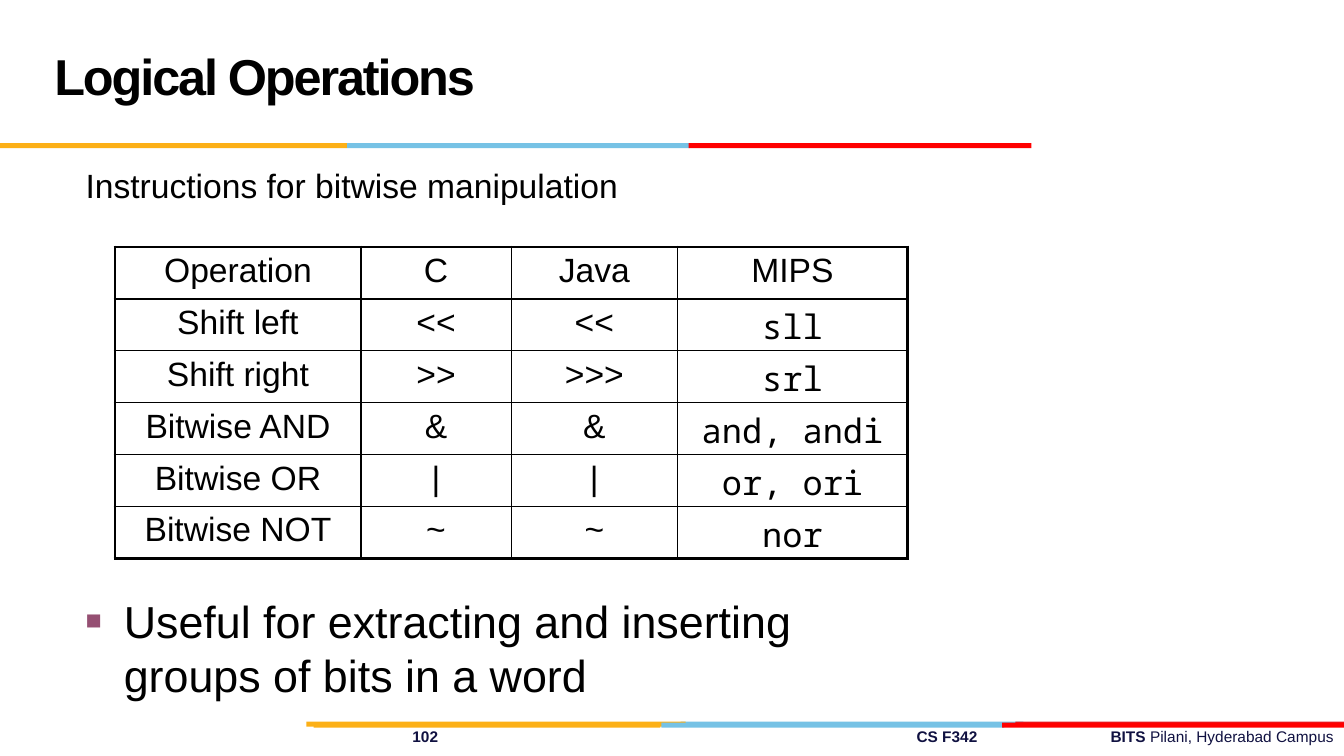
from pptx import Presentation
from pptx.dml.color import RGBColor
from pptx.enum.shapes import MSO_SHAPE as Shape
from pptx.enum.text import MSO_ANCHOR as Anchor, PP_ALIGN as Align
from pptx.oxml import parse_xml
from pptx.oxml.ns import nsdecls
from pptx.util import Inches, Pt


def color(value):
    return RGBColor.from_string(value)


def add_text(left, top, width, height, text, size, ink="000000"):
    box = page.shapes.add_textbox(Inches(left), Inches(top), Inches(width), Inches(height))
    box.text_frame.word_wrap = True
    para = box.text_frame.paragraphs[0]
    para.add_run().text = text
    para.font.name = "Arial"
    para.font.size = Pt(size)
    para.font.color.rgb = color(ink)
    return box.text_frame, para


deck = Presentation()
deck.slide_width, deck.slide_height = Inches(13.33), Inches(7.5)
page = deck.slides.add_slide(deck.slide_layouts[6])

# Footer: number, course and campus on tab stops
footer, para = add_text(0.22, 7.16, 13.11, 0.29, "102\tCS F342\tBITS ", 11, "101141")
footer.margin_left = Inches(3.87)
tabs = parse_xml(f"<a:tabLst {nsdecls('a')}/>")
for position, align in ((5, "l"), (9.14, "r")):
    tabs.append(parse_xml(f'<a:tab {nsdecls("a")} pos="{Inches(position)}" algn="{align}"/>'))
para._p.get_or_add_pPr().insert(0, tabs)
para.runs[0].font.bold = True
campus = para.add_run()
campus.text = "Pilani, Hyderabad Campus"
campus.font.bold = False

# Colour bars above the footer and under the title
bars = [
    (6.75, 7.16, 3.4, "76C2E5"), (10.07, 7.16, 3.26, "E31C24"), (3.04, 7.16, 3.76, "FCB017"),
    (6.56, 7.17, 3.4, "76C2E5"), (3.11, 7.17, 3.44, "FCB017"), (9.94, 7.17, 3.4, "FF0000"),
    (3.44, 1.42, 3.4, "76C2E5"), (0, 1.42, 3.44, "FCB017"), (6.83, 1.42, 3.4, "FF0000"),
]
for left, top, width, fill in bars:
    bar = page.shapes.add_shape(Shape.RECTANGLE, Inches(left), Inches(top), Inches(width), Inches(0.05))
    bar.shadow.inherit = False
    bar.fill.solid()
    bar.fill.fore_color.rgb = color(fill)
    bar.line.fill.background()

# Title and introduction
title, para = add_text(0.44, 0.17, 9.22, 1.25, "Logical Operations", 36)
title.vertical_anchor = Anchor.MIDDLE
para.line_spacing = Pt(36)
para.font.bold = True
para.runs[0].font._element.set("spc", "-150")
add_text(0.75, 1.59, 9.05, 0.76, "Instructions for bitwise manipulation", 24)

# Table of operations
operations = [
    ("Operation", "C", "Java", "MIPS"),
    ("Shift left", "<<", "<<", "sll"),
    ("Shift right", ">>", ">>>", "srl"),
    ("Bitwise AND", "&", "&", "and, andi"),
    ("Bitwise OR", "|", "|", "or, ori"),
    ("Bitwise NOT", "~", "~", "nor"),
]
widths = (2.44, 1.49, 1.65, 2.28)
last_row, last_column = len(operations) - 1, len(widths) - 1
table = page.shapes.add_table(len(operations), len(widths), Inches(1.14), Inches(2.45),
                              Inches(sum(widths)), Inches(3.09)).table
table.first_row = table.horz_banding = False
for column, width in zip(table.columns, widths):
    column.width = Inches(width)
for r, row in enumerate(operations):
    for c, text in enumerate(row):
        cell = table.cell(r, c)
        para = cell.text_frame.paragraphs[0]
        para.text = text
        para.alignment = Align.CENTER
        para.font.name = "Noto Sans Mono" if r > 0 and c == last_column else "Arial"
        para.font.size = Pt(24)
        para.font.color.rgb = color("000000")
        # Thick frame, medium rule under the header, thin rules inside
        borders = {
            "lnL": 2.25 if c == 0 else 1,
            "lnR": 2.25 if c == last_column else 1,
            "lnT": {0: 2.25, 1: 1.5}.get(r, 1),
            "lnB": {0: 1.5, last_row: 2.25}.get(r, 1),
        }
        properties = cell._tc.get_or_add_tcPr()
        for side, weight in borders.items():
            properties.append(parse_xml(
                f'<a:{side} {nsdecls("a")} w="{Pt(weight)}"><a:solidFill>'
                f'<a:srgbClr val="000000"/></a:solidFill></a:{side}>'))
        cell.fill.background()

# Closing bullet
closing, para = add_text(0.75, 5.84, 8.5, 1.18,
                         "Useful for extracting and inserting groups of bits in a word", 32)
layout = para._p.get_or_add_pPr()
layout.set("marL", str(Inches(0.38)))
layout.set("indent", str(Inches(-0.38)))
bullet = ('<a:buClr {0}><a:srgbClr val="954F72"/></a:buClr>', '<a:buSzPct {0} val="60000"/>',
          '<a:buFont {0} typeface="Arial"/>', '<a:buChar {0} char="■"/>')
for index, part in enumerate(bullet):
    layout.insert(index, parse_xml(part.format(nsdecls("a"))))

deck.save("out.pptx")
